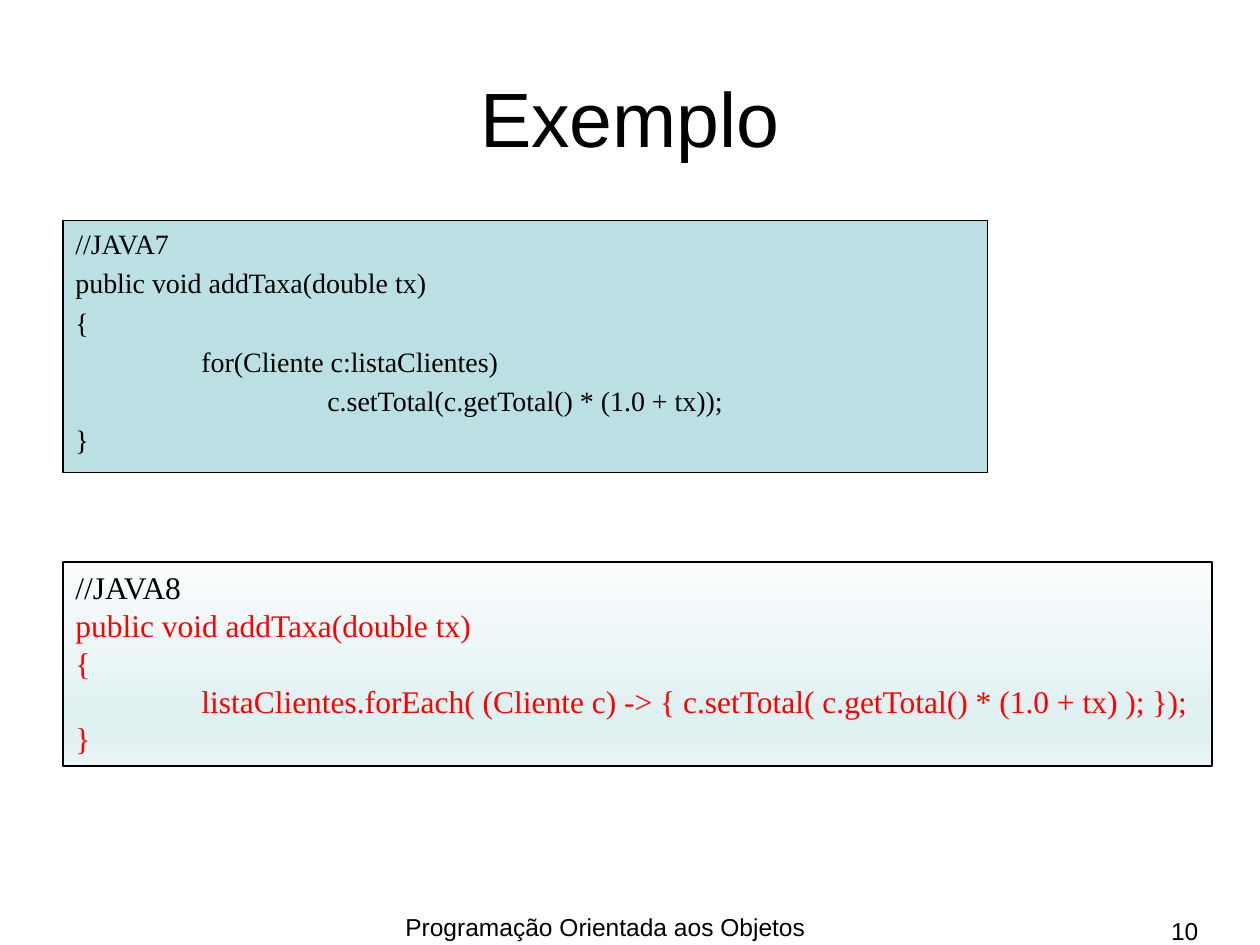
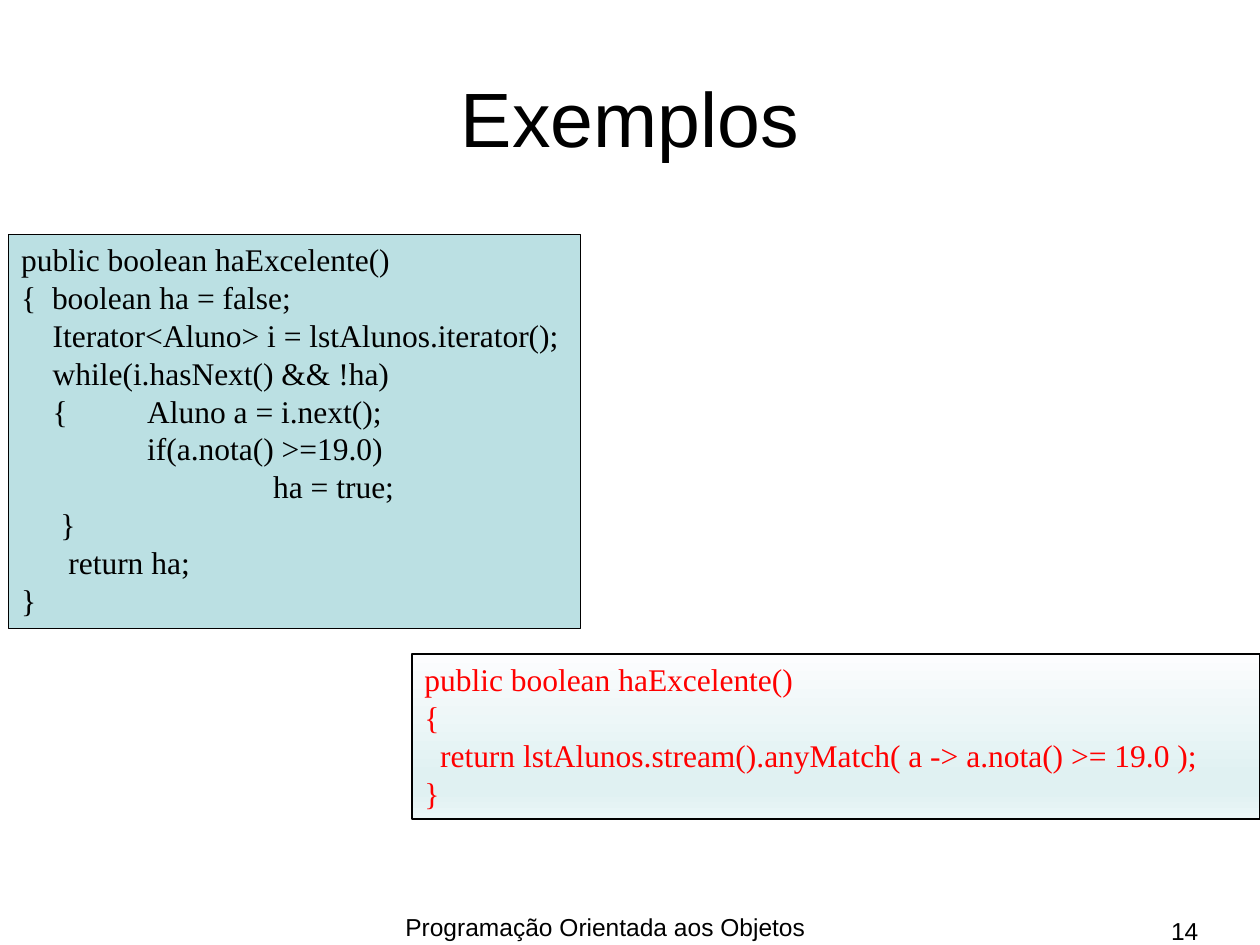
from lxml import etree
from pptx import Presentation
from pptx.dml.color import RGBColor
from pptx.enum.shapes import MSO_SHAPE
from pptx.enum.text import MSO_ANCHOR, PP_ALIGN
from pptx.oxml.ns import qn
from pptx.util import Inches, Pt

RECT = MSO_SHAPE.RECTANGLE
TOP, MIDDLE = MSO_ANCHOR.TOP, MSO_ANCHOR.MIDDLE
LEFT, CENTER, RIGHT = PP_ALIGN.LEFT, PP_ALIGN.CENTER, PP_ALIGN.RIGHT

BLACK = RGBColor(0x00, 0x00, 0x00)
RED = RGBColor(0xFF, 0x00, 0x00)
TEAL = RGBColor(0xBB, 0xE0, 0xE3)
PALE_STOPS = [(0, "FCFDFE"), (74, "E0F1F2"), (83, "E0F1F2"), (100, "EBF6F7")]

SANS, SERIF = "Arial", "Times New Roman"
COURSE = "Programação Orientada aos Objetos"
TITLE_BOX = (0.5, 0.3, 9, 1.25)
FOOTER_BOX = (2.48, 7.19, 4.65, 0.31)
NUMBER_BOX = (7.28, 7.22, 2.33, 0.21)

ADD_TAXA_JAVA7 = """//JAVA7
public void addTaxa(double tx)
{
\tfor(Cliente c:listaClientes)
\t\tc.setTotal(c.getTotal() * (1.0 + tx));
}"""

ADD_TAXA_JAVA8 = """//JAVA8
public void addTaxa(double tx)
{
\tlistaClientes.forEach( (Cliente c) -> { c.setTotal( c.getTotal() * (1.0 + tx) ); });
}"""

HA_EXCELENTE_LOOP = """public boolean haExcelente()
{  boolean ha = false;
    Iterator<Aluno> i = lstAlunos.iterator();
    while(i.hasNext() && !ha)
    {\tAluno a = i.next();
\tif(a.nota() >=19.0)
\t\tha = true;
     }
      return ha;
}"""

HA_EXCELENTE_STREAM = """public boolean haExcelente()
{
  return lstAlunos.stream().anyMatch( a -> a.nota() >= 19.0 );
}"""


def inches(box):
    return [Inches(v) for v in box]


def add_inch_tabs(p, count):
    """Put count tab stops on a paragraph, one inch apart."""
    tabs = etree.SubElement(p._p.get_or_add_pPr(), qn("a:tabLst"))
    for i in range(1, count + 1):
        etree.SubElement(tabs, qn("a:tab"), pos=str(Inches(i)), algn="l")


def write(tf, text, font, size, color=BLACK, align=LEFT, anchor=TOP, gap=0):
    """Fill a text frame, one paragraph a line, with gap points between them."""
    tf.word_wrap = True
    tf.vertical_anchor = anchor
    for i, line in enumerate(text.split("\n")):
        p = tf.add_paragraph() if i else tf.paragraphs[0]
        p.text = line
        p.alignment = align
        p.space_before = Pt(gap if i else 0)
        if "\t" in line:
            add_inch_tabs(p, line.count("\t"))
        p.font.name = font
        p.font.size = Pt(size)
        p.font.color.rgb = BLACK if line.startswith("//") else color


def add_label(s, box, text, align):
    tf = s.shapes.add_textbox(*inches(box)).text_frame
    write(tf, text, SANS, 14, align=align)


def add_titled_slide(prs, title, number):
    s = prs.slides.add_slide(prs.slide_layouts[5])
    sp = s.shapes.title
    sp.left, sp.top, sp.width, sp.height = inches(TITLE_BOX)
    write(sp.text_frame, title, SANS, 44, align=CENTER, anchor=MIDDLE)
    add_label(s, FOOTER_BOX, COURSE, CENTER)
    add_label(s, NUMBER_BOX, str(number), RIGHT)
    return s


def fill_pale_gradient(sp):
    sp.fill.gradient()
    sp.fill.gradient_angle = 270
    stops = sp._element.spPr.find(qn("a:gradFill")).find(qn("a:gsLst"))
    for gs in list(stops):
        stops.remove(gs)
    for percent, color in PALE_STOPS:
        gs = etree.SubElement(stops, qn("a:gs"), pos=str(percent * 1000))
        etree.SubElement(gs, qn("a:srgbClr"), val=color)


def add_code_box(s, box, code, size=18, gap=0, modern=False):
    """Add a code panel: red on a pale gradient if modern, else black on teal."""
    sp = s.shapes.add_shape(RECT, *inches(box))
    sp.shadow.inherit = False
    if modern:
        fill_pale_gradient(sp)
    else:
        sp.fill.solid()
        sp.fill.fore_color.rgb = TEAL
    sp.line.color.rgb = BLACK
    sp.line.width = Pt(0.75)
    write(sp.text_frame, code, SERIF, size, RED if modern else BLACK, gap=gap)


def main():
    prs = Presentation()
    prs.slide_width, prs.slide_height = Inches(10), Inches(7.5)

    s = add_titled_slide(prs, "Exemplo", 10)
    add_code_box(s, (0.5, 1.75, 7.34, 2), ADD_TAXA_JAVA7, size=16, gap=3.2)
    add_code_box(s, (0.5, 4.46, 9.12, 1.62), ADD_TAXA_JAVA8, modern=True)

    s = add_titled_slide(prs, "Exemplos", 14)
    add_code_box(s, (0.07, 1.86, 4.54, 3.13), HA_EXCELENTE_LOOP)
    add_code_box(s, (3.27, 5.19, 6.73, 1.31), HA_EXCELENTE_STREAM, modern=True)

    prs.save("out.pptx")


if __name__ == "__main__":
    main()
